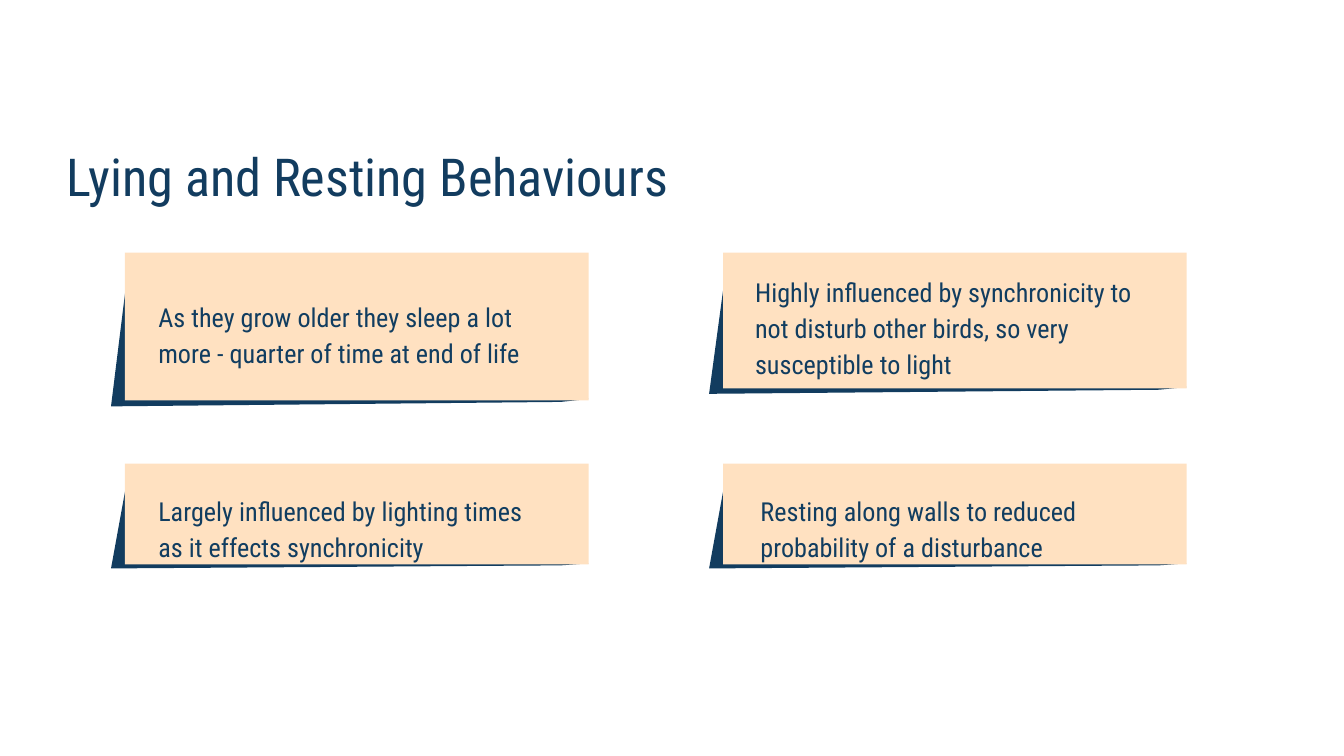
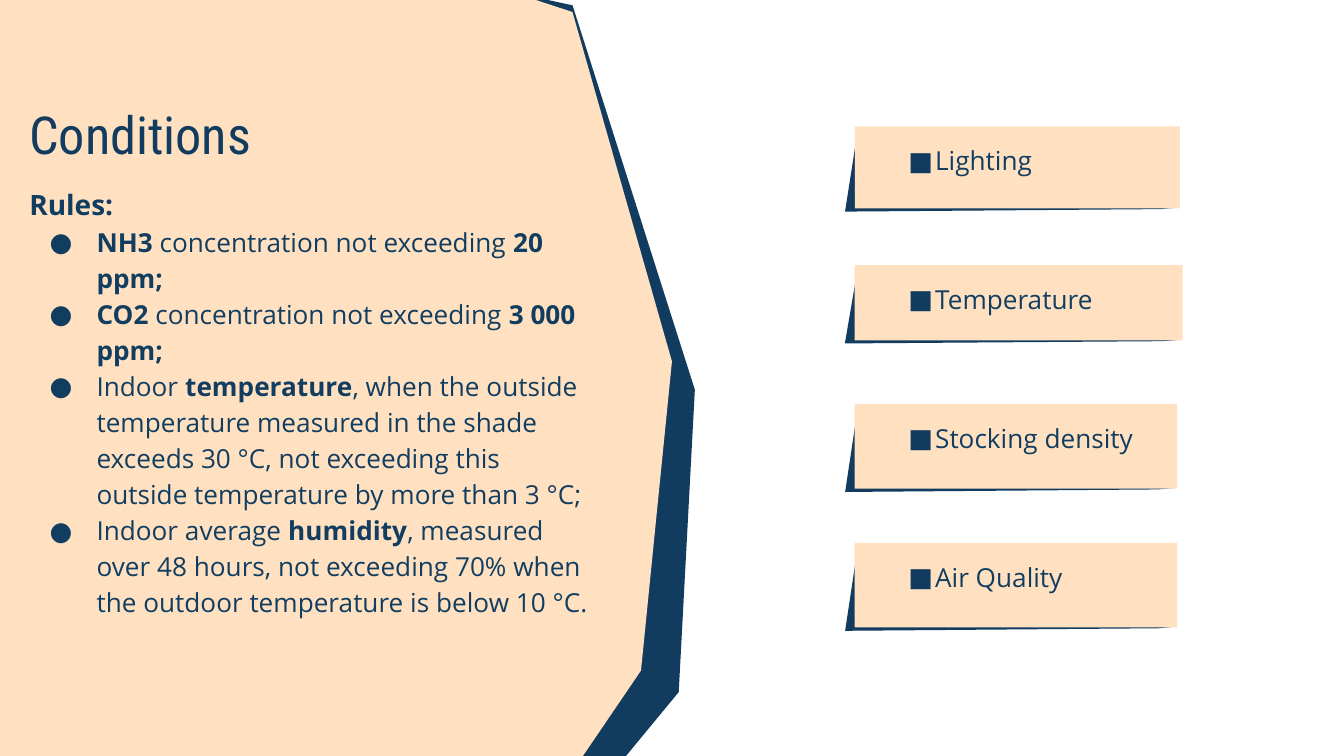
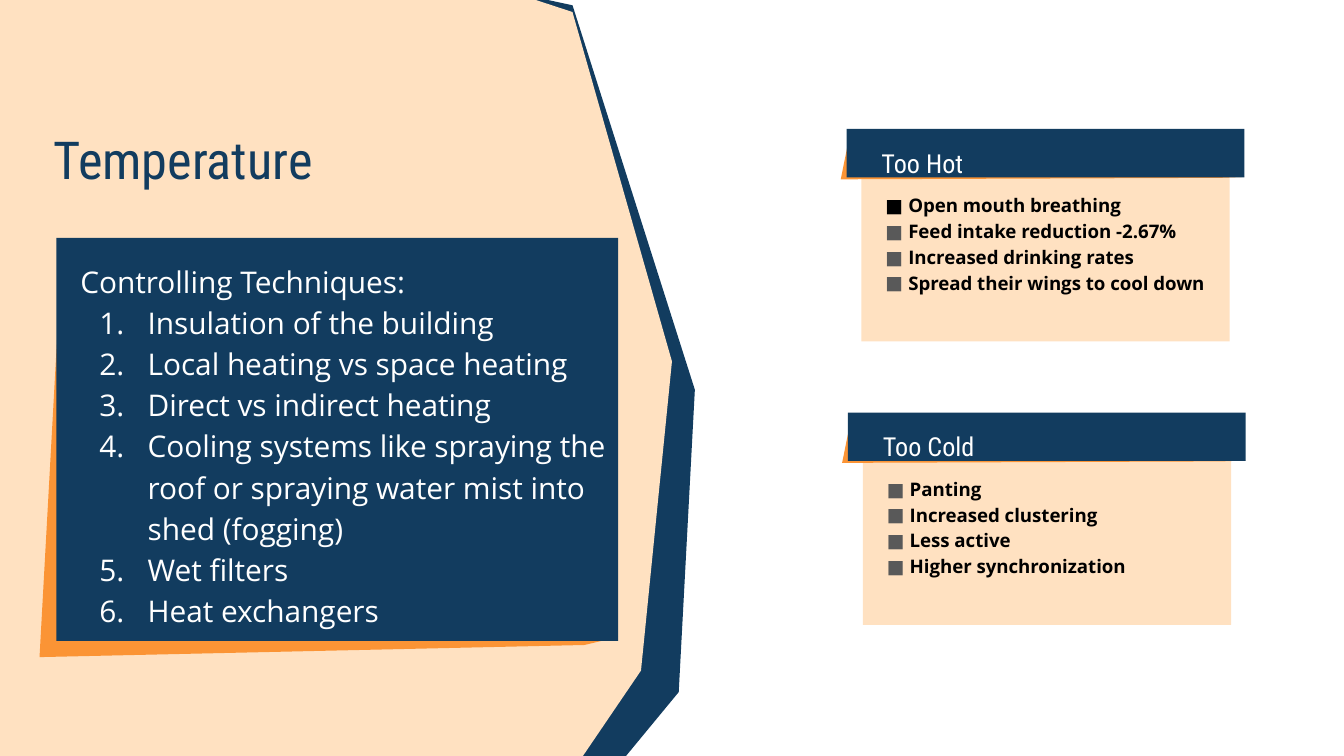
from lxml import etree
from pptx import Presentation
from pptx.dml.color import RGBColor
from pptx.enum.shapes import MSO_SHAPE, MSO_SHAPE_TYPE
from pptx.oxml.ns import qn
from pptx.util import Inches, Pt

NAVY = RGBColor(0x12, 0x3C, 0x5F)
INK = RGBColor(0x11, 0x3D, 0x60)
PEACH = RGBColor(0xFF, 0xE1, 0xC1)
ORANGE = RGBColor(0xFB, 0x94, 0x35)
GREY = RGBColor(0x59, 0x59, 0x59)
BLACK = RGBColor(0, 0, 0)
WHITE = RGBColor(0xFF, 0xFF, 0xFF)
HEADING_FONT = "Roboto Condensed"
BODY_FONT = "Open Sans"
NUMBERED = "1."

PANEL_LAYERS = [
    (NAVY, [(3.38, -0.15), (4.26, 0.04), (5.17, 2.9), (5.05, 5.15),
            (4.58, 5.72), (-0.01, 5.75), (0.03, -0.12)]),
    (PEACH, [(3.65, -0.11), (4.26, 0.09), (5, 2.69), (4.77, 4.99),
             (4.28, 5.71), (-0.24, 5.74), (-0.2, -0.13)]),
]


def add_card(page, left, top, width, height, fill=PEACH, shadow_fill=NAVY, overhang=0.03):
    """Draw a rectangle over its slanted shadow; overhang is a share of the width."""
    fractions = [(1, 0.99), (0.94, 1.01), (-overhang, 1.04), (0.01, 0.03), (0.05, 0.95)]
    corners = [(Inches(left + across * width), Inches(top + down * height))
               for across, down in fractions]
    builder = page.shapes.build_freeform(*corners[0])
    builder.add_line_segments(corners[1:])
    shadow = builder.convert_to_shape()
    card = page.shapes.add_shape(MSO_SHAPE.RECTANGLE, Inches(left), Inches(top),
                                 Inches(width), Inches(height))
    for shape, color in ((shadow, shadow_fill), (card, fill)):
        shape.fill.solid()
        shape.fill.fore_color.rgb = color


def add_text(page, area, lines, size=14, font=HEADING_FONT, color=INK, spacing=1.15,
             lead=None, mark=None, mark_color=None, indent=0.2, hanging=0.2):
    """Write lines, where ** switches bold on and off; the lead line has no mark."""
    box = page.shapes.add_textbox(*[Inches(length) for length in area])
    frame = box.text_frame
    frame.word_wrap = True
    frame.margin_left = frame.margin_right = Inches(0.1)
    frame.margin_top = frame.margin_bottom = Inches(0.1)
    all_lines = ([lead] if lead else []) + lines
    for number, line in enumerate(all_lines):
        para = frame.add_paragraph() if number else frame.paragraphs[0]
        para.line_spacing = spacing
        for position, piece in enumerate(line.split("**")):
            if piece:
                span = para.add_run()
                span.text = piece
                span.font.name = font
                span.font.size = Pt(size)
                span.font.bold = position % 2 == 1
                span.font.color.rgb = color
        if mark and line != lead:
            properties = para._p.get_or_add_pPr()
            properties.set("marL", str(Inches(indent)))
            properties.set("indent", str(-Inches(hanging)))
            tint = etree.SubElement(properties, qn("a:buClr"))
            etree.SubElement(tint, qn("a:srgbClr"), val=str(mark_color or color))
            etree.SubElement(properties, qn("a:buFont"), typeface=font)
            if mark == NUMBERED:
                etree.SubElement(properties, qn("a:buAutoNum"), type="arabicPeriod")
            else:
                etree.SubElement(properties, qn("a:buChar"), char=mark)
    return frame


deck = Presentation()
deck.slide_width = Inches(10)
deck.slide_height = Inches(10 * 9 / 16)
blank = deck.slide_layouts[6]
resting, conditions, temperature = [deck.slides.add_slide(blank) for _ in range(3)]

for page in (conditions, temperature):
    for color, outline in PANEL_LAYERS:
        points = [(Inches(x), Inches(y)) for x, y in outline]
        builder = page.shapes.build_freeform(*points[0])
        builder.add_line_segments(points[1:])
        panel = builder.convert_to_shape()
        panel.fill.solid()
        panel.fill.fore_color.rgb = color

for page, title, left, top, width in (
    (resting, "Lying and Resting Behaviours", 0.4, 0.97, 9.32),
    (conditions, "Conditions", 0.12, 0.66, 5.55),
    (temperature, "Temperature", 0.3, 0.85, 3.64),
):
    add_text(page, (left, top, width, 0.63), [title], size=28, color=NAVY, spacing=1)

# Lying and resting: four cards
for left, top, height, text_left, text_top, fact in (
    (0.93, 1.88, 1.1, 1.08, 2.11,
     "As they grow older they sleep a lot more - quarter of time at end of life"),
    (5.38, 1.88, 1.01, 5.52, 1.92,
     "Highly influenced by synchronicity to not disturb other birds, so very susceptible to light"),
    (0.93, 3.45, 0.75, 1.08, 3.55,
     "Largely influenced by lighting times as it effects synchronicity"),
    (5.38, 3.45, 0.75, 5.56, 3.55,
     "Resting along walls to reduced probability of a disturbance"),
):
    add_card(resting, left, top, 3.45, height)
    add_text(resting, (text_left, text_top, 3.06, 0.3), [fact])

# Conditions: rules on the panel, topics on the right
rules = add_text(
    conditions, (0.12, 1.26, 4.39, 3.74),
    ["**NH3 **concentration not exceeding **20 ppm;**",
     "**CO2 **concentration not exceeding **3 000 ppm;**",
     "Indoor **temperature**, when the outside temperature measured in the shade "
     "exceeds 30 °C, not exceeding this outside temperature by more than 3 °C;",
     "Indoor average **humidity**, measured over 48 hours, not exceeding 70% when "
     "the outdoor temperature is below 10 °C."],
    font=BODY_FONT, lead="**Rules:**", mark="●", indent=0.5, hanging=0.35)
rules.paragraphs[0].runs[0].font.size = Pt(15)

for row, (topic, width, height, text_width) in enumerate((
    ("Lighting", 2.42, 0.61, 2.23),
    ("Temperature", 2.44, 0.56, 2.08),
    ("Stocking density", 2.4, 0.63, 2.08),
    ("Air Quality", 2.4, 0.63, 2.17),
)):
    top = 0.94 + 1.033 * row
    add_card(conditions, 6.36, top, width, height)
    add_text(conditions, (6.66, top, text_width, 0.66), [topic], font=BODY_FONT,
             mark="■", mark_color=NAVY)

# Temperature: techniques on the panel, signs of heat and cold on the right
add_card(temperature, 0.42, 1.77, 4.18, 3, NAVY, ORANGE)
add_text(
    temperature, (0.5, 1.82, 4.11, 1.93),
    ["Insulation of the building",
     "Local heating vs space heating",
     "Direct vs indirect heating",
     "Cooling systems like spraying the roof or spraying water mist into shed (fogging)",
     "Wet filters",
     "Heat exchangers"],
    size=16, font=BODY_FONT, color=WHITE, lead="Controlling Techniques:",
    mark=NUMBERED, indent=0.5, hanging=0.36)

sign_lists = []
for heading, left, top, signs in (
    ("Too Hot", 6.3, 0.96,
     ["Open mouth breathing", "Feed intake reduction -2.67%",
      "Increased drinking rates", "Spread their wings to cool down"]),
    ("Too Cold", 6.31, 3.07,
     ["Panting", "Increased clustering", "Less active", "Higher synchronization"]),
):
    backing = temperature.shapes.add_shape(
        MSO_SHAPE.RECTANGLE, Inches(left + 0.11), Inches(top + 0.29),
        Inches(2.74), Inches(1.29))
    backing.fill.solid()
    backing.fill.fore_color.rgb = PEACH
    add_card(temperature, left, top, 2.96, 0.36, NAVY, ORANGE, overhang=0.015)
    add_text(temperature, (left + 0.16, top, 2.85, 0.38), [heading], color=WHITE)
    sign_lists.append(add_text(
        temperature, (left + 0.16, top + 0.36, 2.68, 1.15),
        [f"**{sign}**" for sign in signs], size=10, font=BODY_FONT, color=BLACK,
        mark="■", mark_color=GREY, hanging=0.17))
first_mark = sign_lists[0].paragraphs[0]._p.pPr.find(qn("a:buClr"))
first_mark[0].set("val", str(BLACK))

for page in deck.slides:
    for shape in page.shapes:
        if shape.shape_type != MSO_SHAPE_TYPE.TEXT_BOX:
            shape.shadow.inherit = False
            shape.line.fill.background()

deck.save("out.pptx")
